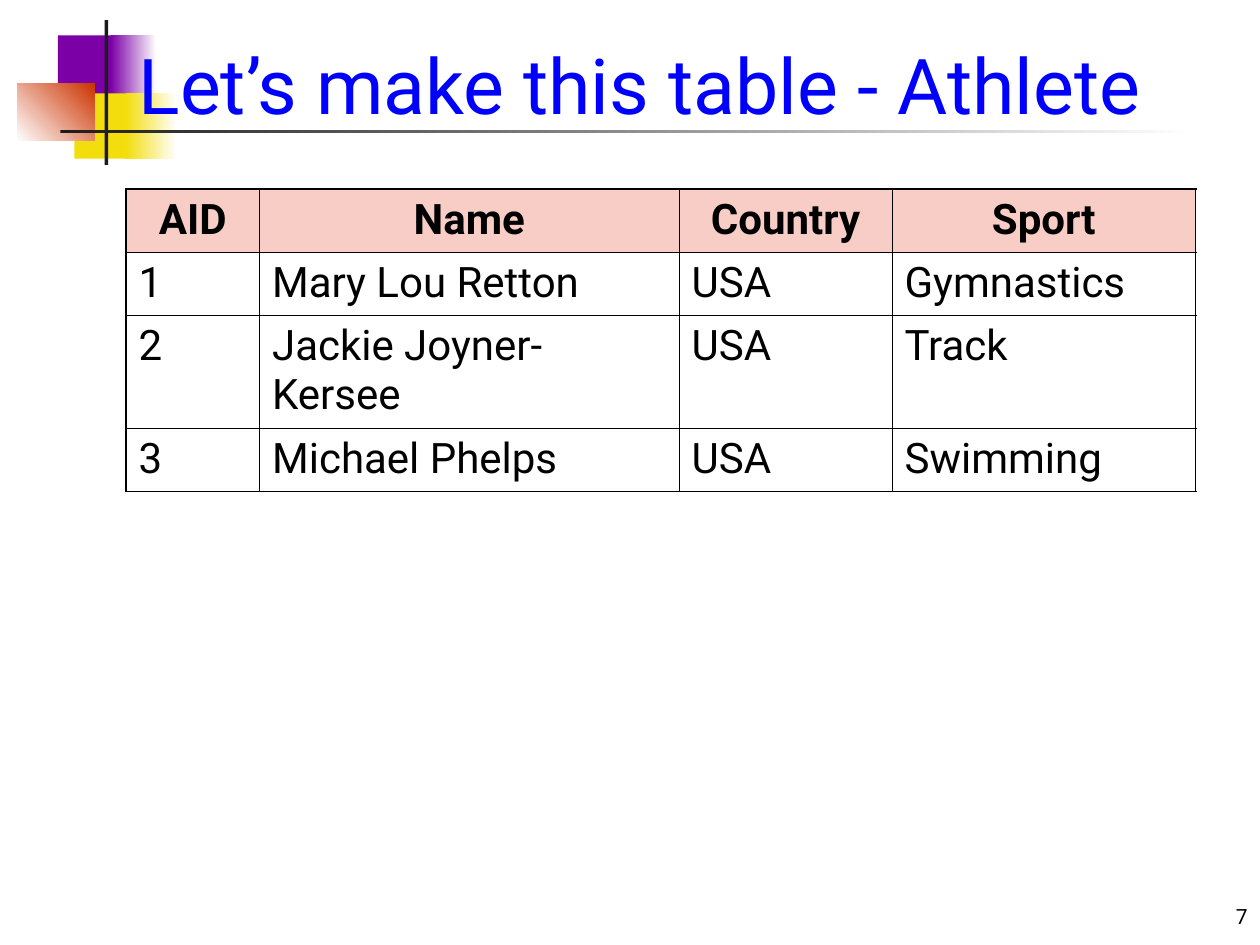
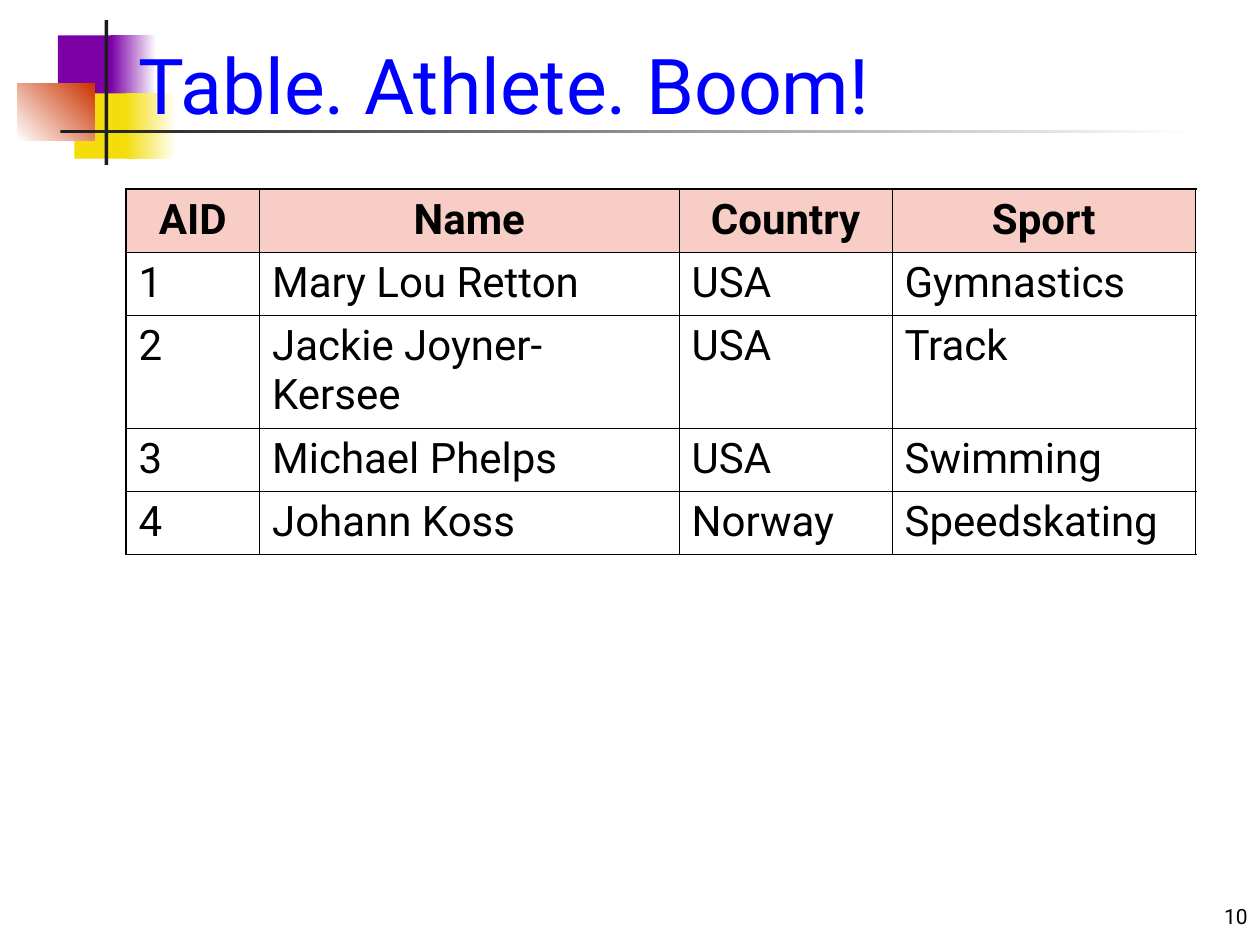
import pptx
import pptx.dml.color
import pptx.enum.shapes
import pptx.enum.text
import pptx.oxml
import pptx.oxml.ns
import pptx.util
from pptx.util import Inches

RGBColor = pptx.dml.color.RGBColor
ALIGN = pptx.enum.text.PP_ALIGN
ANCHOR = pptx.enum.text.MSO_ANCHOR

PURPLE = RGBColor(0x7B, 0x00, 0xA6)
YELLOW = RGBColor(0xF3, 0xDD, 0x0D)
RED = RGBColor(0xCC, 0x33, 0x00)
INK = RGBColor(0x1C, 0x1C, 0x1C)
WHITE = RGBColor(0xFF, 0xFF, 0xFF)
BLACK = RGBColor(0x00, 0x00, 0x00)
BLUE = RGBColor(0x00, 0x00, 0xFF)
PINK = RGBColor(0xF8, 0xCD, 0xC6)

# Left, top, width, height, colours (one is solid, two a gradient), angle
ORNAMENTS = [
    (0.46, 0.28, 0.48, 0.52, [PURPLE], 0),
    (0.88, 0.28, 0.36, 0.52, [PURPLE, WHITE], 0),
    (0.59, 0.74, 0.46, 0.52, [YELLOW], 0),
    (1.00, 0.74, 0.40, 0.52, [YELLOW, WHITE], 0),
    (0.14, 0.66, 0.61, 0.46, [WHITE, RED], 45),
    (0.83, 0.16, 0.03, 1.15, [INK], 0),
    (0.48, 1.03, 9.00, 0.03, [INK, WHITE], 0),
]

COLUMNS = {"AID": 1.06, "Name": 3.33, "Country": 1.69, "Sport": 2.41}
ATHLETES = [
    ("1", "Mary Lou Retton", "USA", "Gymnastics"),
    ("2", "Jackie Joyner-Kersee", "USA", "Track"),
    ("3", "Michael Phelps", "USA", "Swimming"),
    ("4", "Johann Koss", "Norway", "Speedskating"),
]
ROW_HEIGHT, TALL_ROW_HEIGHT = 0.5, 0.9
THIN, THICK = 0.45, 1.08


class Deck:
    title_font = {"name": "Roboto", "size": pptx.util.Pt(44)}
    number_font = {"name": "Roboto", "size": pptx.util.Pt(12)}
    cell_font = {"name": "Roboto", "size": pptx.util.Pt(24), "bold": False}
    head_font = {**cell_font, "bold": True}

    def __init__(self):
        self.prs = pptx.Presentation()
        self.prs.slide_width, self.prs.slide_height = Inches(10), Inches(7.5)
        self.layout = self.prs.slide_layouts[5]
        self.s = None

    def new_slide(self, title, number):
        first = self.s is None
        self.s = self.prs.slides.add_slide(self.layout)
        if first:
            self.ornaments()
        self.title(title)
        self.number(number)

    def ornaments(self):
        """Draw the shared ornament and move it to the layout."""
        for i, (*box, colours, angle) in enumerate(ORNAMENTS):
            sp = self.rectangle(box, colours, angle)
            sp.element.nvSpPr.cNvPr.set("id", str(100 + i))
            self.layout.shapes.element.append(sp.element)

    def rectangle(self, box, colours, angle):
        sp = self.s.shapes.add_shape(
            pptx.enum.shapes.MSO_SHAPE.RECTANGLE, *map(Inches, box))
        sp.shadow.inherit = False
        sp.line.fill.background()
        if len(colours) == 1:
            sp.fill.solid()
            sp.fill.fore_color.rgb = colours[0]
        else:
            sp.fill.gradient()
            sp.fill.gradient_angle = angle
            for stop, colour in zip(sp.fill.gradient_stops, colours):
                stop.color.rgb = colour
        return sp

    def text(self, tf, text, font, colour=BLACK, align=ALIGN.LEFT):
        p = tf.paragraphs[0]
        p.alignment = align
        r = p.add_run()
        r.text = text
        for name, value in font.items():
            setattr(r.font, name, value)
        r.font.color.rgb = colour

    def title(self, text):
        sp = self.s.shapes.title
        sp.left, sp.top, sp.width, sp.height = map(Inches, (1, -0.17, 8.83, 1.25))
        tf = sp.text_frame
        tf.vertical_anchor = ANCHOR.BOTTOM
        tf.auto_size = pptx.enum.text.MSO_AUTO_SIZE.NONE
        self.text(tf, text, self.title_font, BLUE)

    def number(self, number):
        sp = self.s.shapes.add_textbox(*map(Inches, (7.92, 6.92, 2.08, 0.5)))
        tf = sp.text_frame
        tf.word_wrap = True
        tf.vertical_anchor = ANCHOR.BOTTOM
        self.text(tf, str(number), self.number_font, align=ALIGN.RIGHT)

    def table(self, athletes):
        rows = [tuple(COLUMNS), *athletes]
        heights = [TALL_ROW_HEIGHT if "Jackie Joyner-Kersee" in row else ROW_HEIGHT
                   for row in rows]
        table = self.s.shapes.add_table(
            len(rows), len(COLUMNS), Inches(1), Inches(1.5),
            Inches(sum(COLUMNS.values())), Inches(sum(heights))).table
        table.first_row = table.horz_banding = False
        for column, width in zip(table.columns, COLUMNS.values()):
            column.width = Inches(width)
        for i, (row, height) in enumerate(zip(rows, heights)):
            table.rows[i].height = Inches(height)
            for j, text in enumerate(row):
                cell = table.cell(i, j)
                # Outer edges are thick, inner ones thin
                self.borders(cell, {
                    "lnL": j == 0, "lnR": j == len(row) - 1,
                    "lnT": i == 0, "lnB": i == len(rows) - 1})
                if i == 0:
                    cell.fill.solid()
                    cell.fill.fore_color.rgb = PINK
                    self.text(cell.text_frame, text, self.head_font, align=ALIGN.CENTER)
                else:
                    cell.fill.background()
                    self.text(cell.text_frame, text, self.cell_font)

    def borders(self, cell, edges):
        tcPr = cell._tc.get_or_add_tcPr()
        for tag, outer in edges.items():
            width = pptx.util.Pt(THICK if outer else THIN)
            tcPr.append(pptx.oxml.parse_xml(
                f'<a:{tag} {pptx.oxml.ns.nsdecls("a")} w="{width}"><a:solidFill>'
                f'<a:srgbClr val="{BLACK}"/></a:solidFill></a:{tag}>'))


def main():
    deck = Deck()

    # The table to make
    deck.new_slide("Let’s make this table - Athlete", 7)
    deck.table(ATHLETES[:3])

    # The finished table
    deck.new_slide("Table. Athlete. Boom!", 10)
    deck.table(ATHLETES)

    deck.prs.save("out.pptx")


if __name__ == "__main__":
    main()
